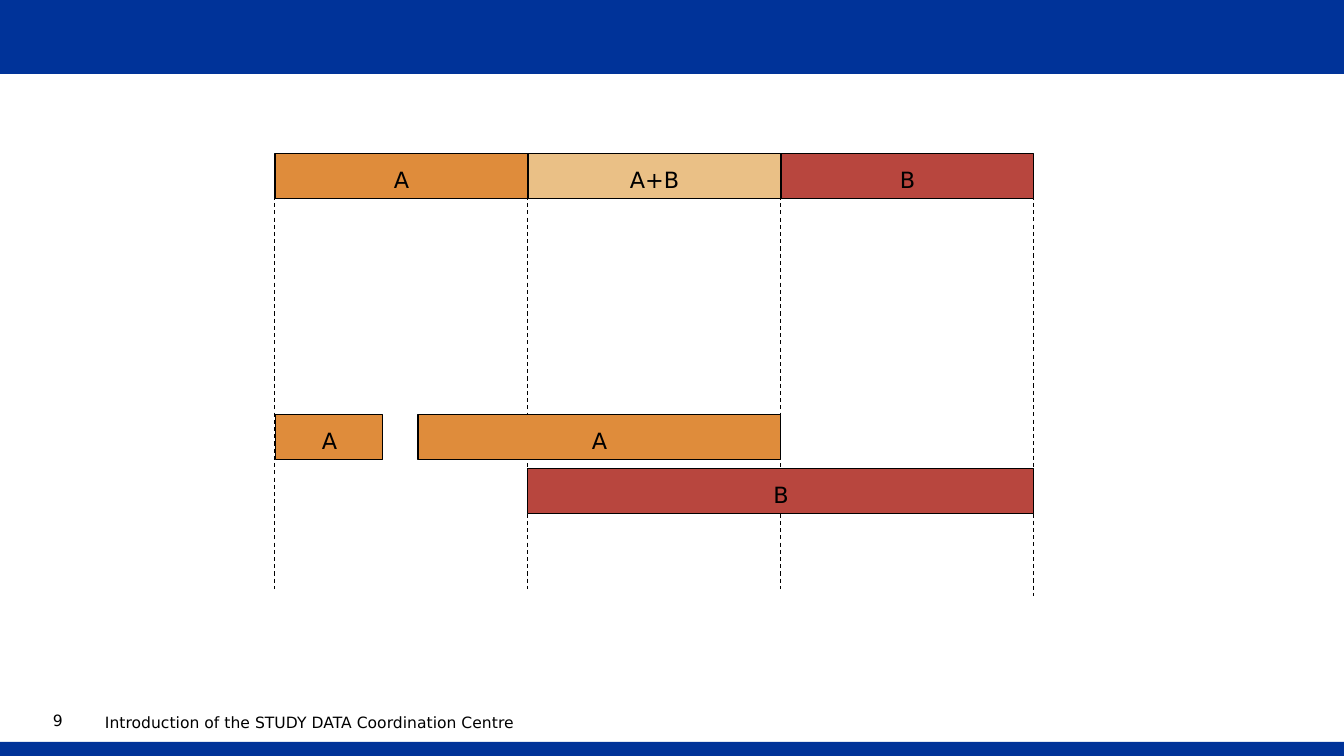
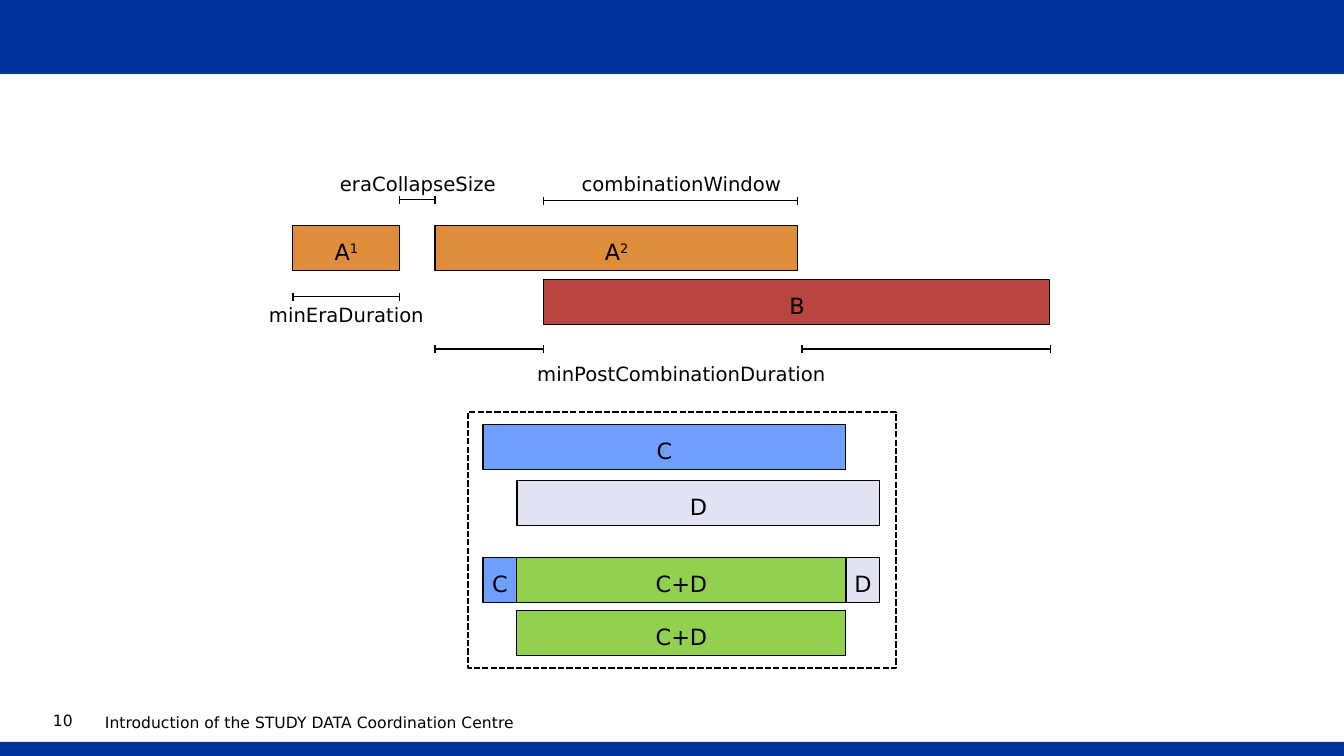
from lxml import etree
from pptx import Presentation
from pptx.dml.color import RGBColor
from pptx.enum.dml import MSO_LINE
from pptx.enum.shapes import MSO_CONNECTOR, MSO_SHAPE
from pptx.enum.text import MSO_ANCHOR, PP_ALIGN
from pptx.oxml.ns import qn
from pptx.util import Emu, Pt

RECT = MSO_SHAPE.RECTANGLE
STRAIGHT = MSO_CONNECTOR.STRAIGHT
DASH = MSO_LINE.DASH
DOTS = MSO_LINE.SQUARE_DOT
LEFT, CENTER = PP_ALIGN.LEFT, PP_ALIGN.CENTER
MIDDLE = MSO_ANCHOR.MIDDLE

SCALE = 914400 / 100.8
WIDE, HIGH = 1344, 756
BAR = 45
FONT = "DejaVu Sans"
FOOTER = "Introduction of the STUDY DATA Coordination Centre"
COLORS = {
    "band": "003399",
    "white": "FFFFFF",
    "black": "000000",
    "A": "DF8C3B",
    "A+B": "EAC086",
    "B": "B8463E",
    "C": "70A0FF",
    "D": "E1E3F2",
    "C+D": "92D050",
}


def px(num):
    return Emu(round(num * SCALE))


def color(name):
    return RGBColor.from_string(COLORS[name])


def write(frame, text, size, align, space=None, power=""):
    para = frame.paragraphs[0]
    para.alignment = align
    if space:
        para.line_spacing = space
    for part, raised in ((text, False), (power, True)):
        if not part:
            continue
        run = para.add_run()
        run.text = part
        run.font.name = FONT
        run.font.size = Pt(size)
        run.font.color.rgb = color("black")
        if raised:
            run.font._element.set("baseline", "30000")


def inset(frame, gap):
    frame.margin_left = frame.margin_right = px(gap)
    frame.margin_top = frame.margin_bottom = px(gap)


def rect(slide, x, y, w, h, fill=None, width=0, dash=None):
    shape = slide.shapes.add_shape(RECT, px(x), px(y), px(w), px(h))
    shape.shadow.inherit = False
    if fill:
        shape.fill.solid()
        shape.fill.fore_color.rgb = color(fill)
    else:
        shape.fill.background()
    if width:
        shape.line.color.rgb = color("black")
        shape.line.width = Pt(width)
        shape.line.dash_style = dash
    else:
        shape.line.fill.background()
    return shape


def line(slide, x1, y1, x2, y2, tone="black", width=0.75, dash=None):
    rule = slide.shapes.add_connector(STRAIGHT, px(x1), px(y1), px(x2), px(y2))
    rule.line.color.rgb = color(tone)
    rule.line.width = Pt(width)
    rule.line.dash_style = dash
    etree.SubElement(rule.element.spPr, qn("a:effectLst"))
    return rule


def bar(slide, name, x, y, w, power=""):
    frame = rect(slide, x, y, w, BAR, name, 0.75).text_frame
    frame.word_wrap = True
    frame.vertical_anchor = MIDDLE
    inset(frame, 8)
    write(frame, name, 16, CENTER, 1.2, power)


def span(slide, x1, x2, y):
    line(slide, x1, y, x2, y)
    for x in (x1, x2):
        line(slide, x, y - 4, x, y + 4)


def box(slide, x, y, w, h):
    frame = slide.shapes.add_textbox(px(x), px(y), px(w), px(h)).text_frame
    frame.word_wrap = True
    return frame


def label(slide, text, x, y, w):
    write(box(slide, x, y, w, 34), text, 14, CENTER)


def foot(slide, text, x, y, w, h):
    frame = box(slide, x, y, w, h)
    inset(frame, 0)
    write(frame, text, 11.1, LEFT, Pt(16))


def brand(slide, master):
    parts = (
        rect(slide, 0, 0, WIDE, 74, "band"),
        line(slide, 0, 74, WIDE, 74, "white", 0.25),
        rect(slide, 0, 742, WIDE, 14, "band"),
    )
    for num, part in enumerate(parts, 20):
        part.element.xpath(".//p:cNvPr")[0].set("id", str(num))
        master.shapes.element.append(part.element)


def page(deck, num):
    slide = deck.slides.add_slide(deck.slide_layouts[6])
    foot(slide, FOOTER, 105, 709, 953, 32)
    foot(slide, str(num), 53, 707, 45, 26)
    return slide


def merge(slide):
    step = 253
    cols = [275 + step * num for num in range(4)]
    for x in cols:
        top = 174 if x == cols[-1] else 167
        line(slide, x, top, x, top + 422, dash=DASH)
    for name, x in zip(("A", "A+B", "B"), cols):
        bar(slide, name, x, 154, step)
    bar(slide, "B", cols[1], 469, 2 * step)
    bar(slide, "A", 418, 415, 363)
    bar(slide, "A", 276, 415, 107)


def rules(slide):
    bar(slide, "B", 544, 280, 506)
    bar(slide, "A", 435, 226, 363, "2")
    bar(slide, "A", 293, 226, 107, "1")
    for x1, x2, y in (
        (293, 400, 297),
        (400, 435, 200),
        (544, 798, 201),
        (802, 1051, 349),
        (435, 544, 349),
    ):
        span(slide, x1, x2, y)
    for text, x, y, w in (
        ("minEraDuration", 254, 298, 185),
        ("eraCollapseSize", 325, 167, 186),
        ("combinationWindow", 547, 167, 269),
        ("minPostCombinationDuration", 507, 357, 349),
    ):
        label(slide, text, x, y, w)


def pair(slide):
    lead, wide = 34, 363
    left = 483
    inner = left + lead
    both = wide - lead
    bar(slide, "C", left, 425, wide)
    bar(slide, "D", inner, 481, wide)
    bar(slide, "C+D", inner, 558, both)
    bar(slide, "C", left, 558, lead)
    bar(slide, "D", inner + both, 558, lead)
    rect(slide, 468, 412, 428, 256, width=1.5, dash=DOTS)
    bar(slide, "C+D", inner, 611, both)


def main():
    deck = Presentation()
    deck.slide_width, deck.slide_height = px(WIDE), px(HIGH)
    first = page(deck, 9)
    brand(first, deck.slide_master)
    merge(first)
    last = page(deck, 10)
    rules(last)
    pair(last)
    deck.save("out.pptx")


if __name__ == "__main__":
    main()
